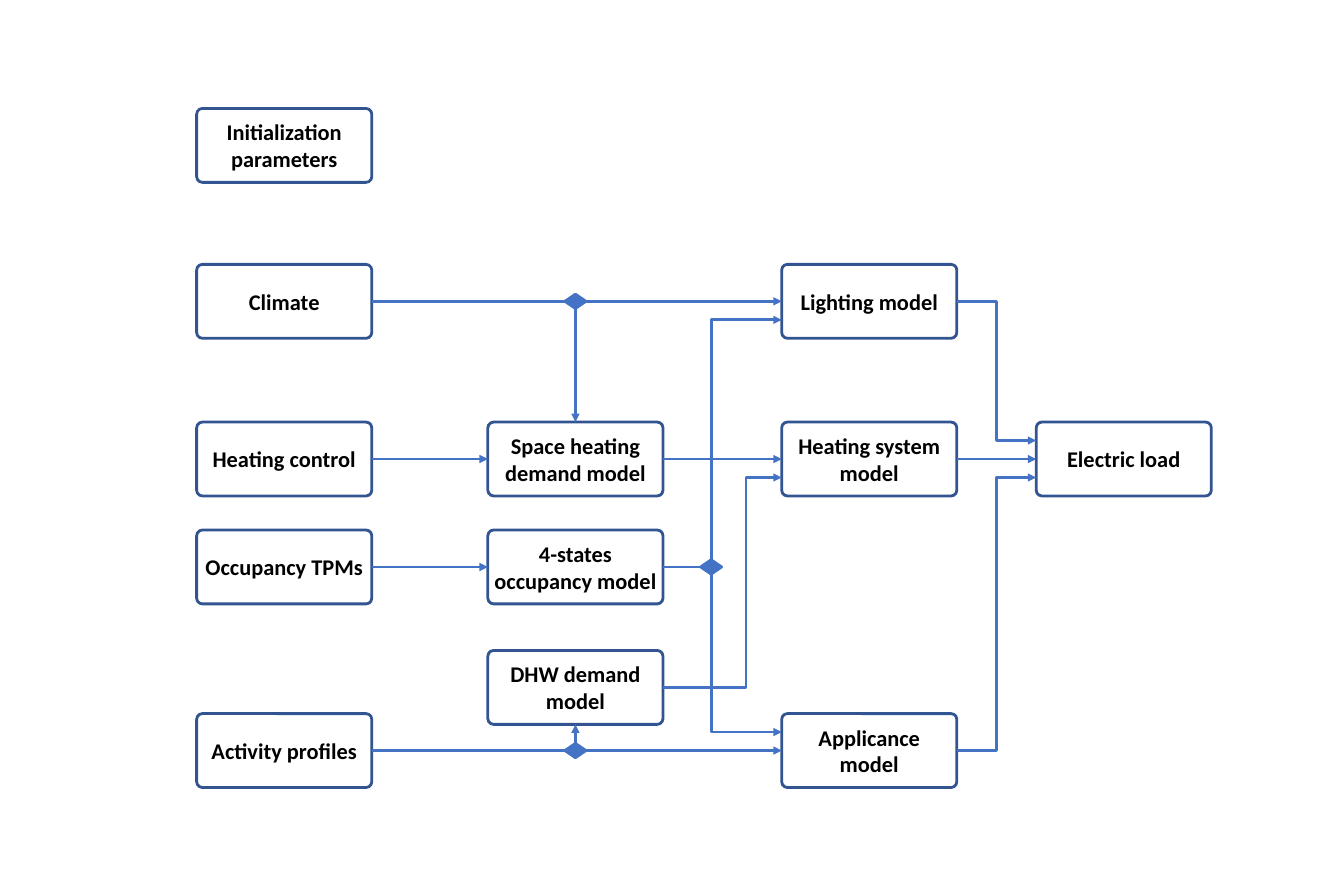
from lxml.etree import SubElement
from pptx import Presentation
from pptx.dml.color import RGBColor
from pptx.enum.shapes import MSO_CONNECTOR, MSO_SHAPE
from pptx.enum.text import MSO_ANCHOR, PP_ALIGN
from pptx.oxml.ns import qn
from pptx.util import Cm, Pt

TOP, LEFT, BOTTOM, RIGHT = range(4)
BOX_WIDTH, BOX_HEIGHT = Cm(9.93), Cm(4.19)
DIAMOND_WIDTH, DIAMOND_HEIGHT = Cm(1.19), Cm(0.81)
PORT_GAP = Cm(1.05)
COLUMNS = {"input": 11.15, "demand": 27.66, "system": 44.32, "load": 58.75}
ROWS = {"start": 6.15, "climate": 14.99, "heating": 23.93,
        "occupancy": 30.05, "water": 36.88, "activity": 40.46}
BOXES = [
    ("Initialization parameters", "input", "start"),
    ("Climate", "input", "climate"),
    ("Heating control", "input", "heating"),
    ("Occupancy TPMs", "input", "occupancy"),
    ("Activity profiles", "input", "activity"),
    ("Space heating demand model", "demand", "heating"),
    ("4-states occupancy model", "demand", "occupancy"),
    ("DHW demand model", "demand", "water"),
    ("Lighting model", "system", "climate"),
    ("Heating system model", "system", "heating"),
    ("Applicance model", "system", "activity"),
    ("Electric load", "load", "heating"),
]


def colour(value):
    return RGBColor.from_string(value)


def apply(target, values):
    for name, value in values.items():
        setattr(target, name, value)


def middle(shape):
    return shape.top + shape.height // 2


def centre(shape):
    return shape.left + shape.width // 2


class Diagram:
    border, accent, paper, ink = "325491", "4472C4", "FFFFFF", "000000"
    line_width = Pt(4.5)
    font = {"name": "Calibri", "size": Pt(36), "bold": True}

    def __init__(self, slide):
        self.slide = slide

    def shape(self, kind, left, top, width, height, fill, line):
        shape = self.slide.shapes.add_shape(kind, left, top, width, height)
        shape.shadow.inherit = False
        shape.fill.solid()
        shape.fill.fore_color.rgb = colour(fill)
        shape.line.color.rgb = colour(line)
        shape.line.width = self.line_width
        return shape

    def box(self, text, left, top):
        shape = self.shape(MSO_SHAPE.ROUNDED_RECTANGLE, left, top,
                           BOX_WIDTH, BOX_HEIGHT, self.paper, self.border)
        shape.adjustments[0] = 0.078
        frame = shape.text_frame
        apply(frame, {"text": text, "word_wrap": True,
                      "vertical_anchor": MSO_ANCHOR.MIDDLE})
        paragraph = frame.paragraphs[0]
        paragraph.alignment = PP_ALIGN.CENTER
        font = paragraph.runs[0].font
        apply(font, self.font)
        font.color.rgb = colour(self.ink)
        return shape

    def junction(self, x, y):
        return self.shape(MSO_SHAPE.DIAMOND, x - DIAMOND_WIDTH // 2,
                          y - DIAMOND_HEIGHT // 2, DIAMOND_WIDTH,
                          DIAMOND_HEIGHT, self.accent, self.accent)

    def connector(self, kind, start, end, arrow=True):
        connector = self.slide.shapes.add_connector(kind, *start, *end)
        connector.line.color.rgb = colour(self.accent)
        connector.line.width = self.line_width
        if arrow:
            SubElement(connector.line._get_or_add_ln(), qn("a:tailEnd"), type="triangle")
        SubElement(connector._element.spPr, qn("a:effectLst"))
        return connector

    def link(self, source, target, source_side=RIGHT, target_side=LEFT, arrow=True):
        connector = self.connector(MSO_CONNECTOR.STRAIGHT, (0, 0), (0, 0), arrow)
        connector.begin_connect(source, source_side)
        connector.end_connect(target, target_side)

    def step(self, source, target, offset, bend=0.5):
        start = source.left + source.width, middle(source)
        end = target.left, middle(target) + offset
        connector = self.connector(MSO_CONNECTOR.ELBOW, start, end)
        geometry = connector._element.spPr.find(qn("a:prstGeom"))
        SubElement(geometry.find(qn("a:avLst")), qn("a:gd"),
                   name="adj1", fmla=f"val {round(bend * 100000)}")

    def corner(self, source, target, offset):
        x, end_x = centre(source), target.left
        end_y = middle(target) + offset
        down = end_y > middle(source)
        y = source.top + (source.height if down else 0)
        width, height = abs(end_y - y), end_x - x
        left, top = (x + end_x - width) // 2, (y + end_y - height) // 2
        connector = self.connector(MSO_CONNECTOR.ELBOW, (left, top),
                                   (left + width, top + height))
        properties = connector._element.spPr
        properties.find(qn("a:prstGeom")).set("prst", "bentConnector2")
        frame = properties.find(qn("a:xfrm"))
        frame.set("rot", "16200000" if down else "5400000")
        frame.set("flipH", "1")
        frame.set("flipV", "0" if down else "1")


def main():
    presentation = Presentation()
    apply(presentation, {"slide_width": Cm(76.2), "slide_height": Cm(50.8)})
    diagram = Diagram(presentation.slides.add_slide(presentation.slide_layouts[6]))
    boxes = {text: diagram.box(text, Cm(COLUMNS[column]), Cm(ROWS[row]))
             for text, column, row in BOXES}
    climate, activity = boxes["Climate"], boxes["Activity profiles"]
    space, water = boxes["Space heating demand model"], boxes["DHW demand model"]
    occupancy = boxes["4-states occupancy model"]
    lighting, heating = boxes["Lighting model"], boxes["Heating system model"]
    appliance, load = boxes["Applicance model"], boxes["Electric load"]

    climate_split = diagram.junction(centre(space), middle(climate))
    activity_split = diagram.junction(centre(water), middle(activity))
    occupancy_split = diagram.junction(Cm(40.32), middle(occupancy))

    for source, split in ((climate, climate_split), (activity, activity_split),
                          (occupancy, occupancy_split)):
        diagram.link(source, split, arrow=False)
    for source, target in ((climate_split, lighting), (activity_split, appliance),
                           (boxes["Heating control"], space),
                           (boxes["Occupancy TPMs"], occupancy),
                           (space, heating), (heating, load)):
        diagram.link(source, target)
    diagram.link(climate_split, space, BOTTOM, TOP)
    diagram.link(activity_split, water, TOP, BOTTOM)
    diagram.corner(occupancy_split, lighting, PORT_GAP)
    diagram.corner(occupancy_split, appliance, -PORT_GAP)
    diagram.step(water, heating, PORT_GAP, 0.7)
    diagram.step(lighting, load, -PORT_GAP)
    diagram.step(appliance, load, PORT_GAP)
    presentation.save("out.pptx")


if __name__ == "__main__":
    main()
